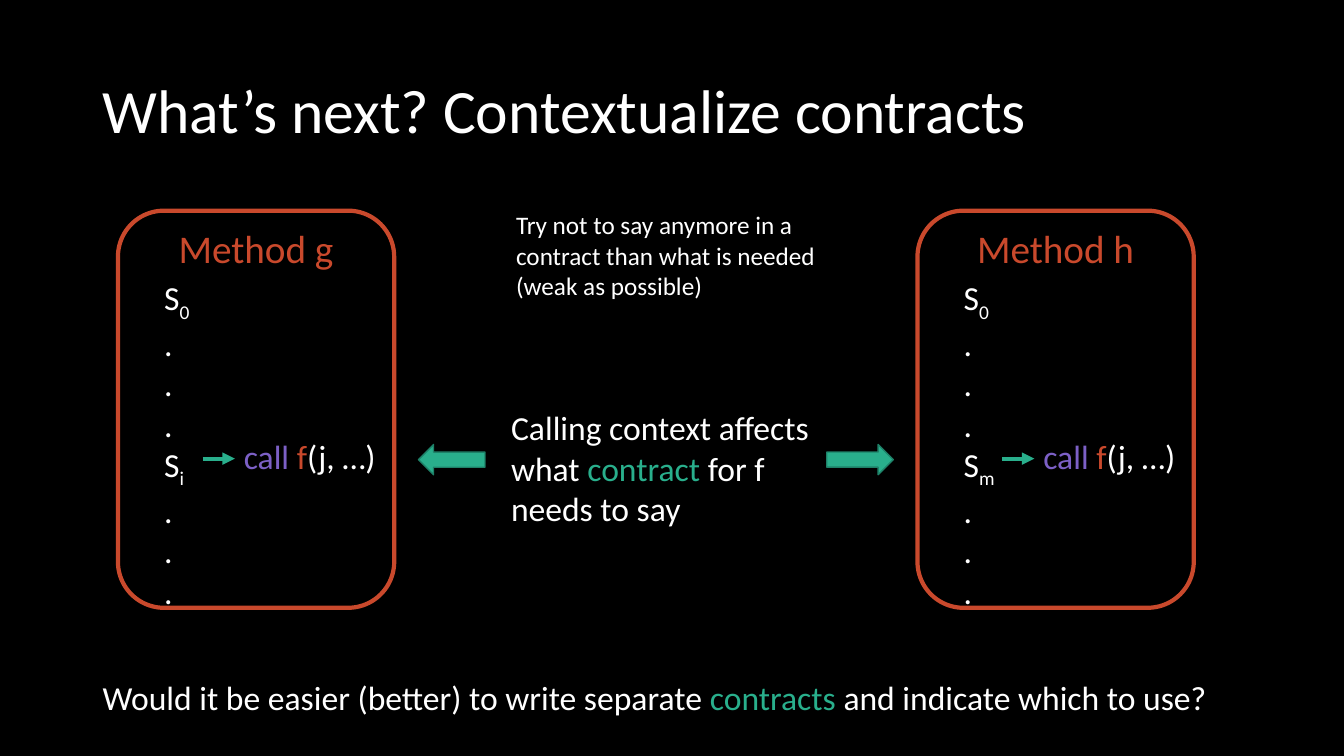
from lxml.etree import SubElement
from pptx import Presentation
from pptx.dml.color import RGBColor
from pptx.enum.shapes import MSO_CONNECTOR as Link, MSO_SHAPE as Shape
from pptx.enum.text import MSO_ANCHOR as Anchor, PP_ALIGN as Align
from pptx.oxml.ns import qn
from pptx.util import Inches, Pt

BLACK = RGBColor(0x00, 0x00, 0x00)
WHITE = RGBColor(0xFF, 0xFF, 0xFF)
RED = RGBColor(0xC9, 0x49, 0x2C)
GREEN = RGBColor(0x29, 0xAF, 0x8C)
DARK = RGBColor(0x1E, 0x81, 0x68)
PURPLE = RGBColor(0x7C, 0x60, 0xC6)
FONT = "Calibri"


def style(para, size, color=WHITE):
    para.font.name = FONT
    para.font.size = Pt(size)
    para.font.color.rgb = color


def add_text(slide, box, parts, size=24):
    frame = slide.shapes.add_textbox(*map(Inches, box)).text_frame
    frame.word_wrap = True
    para = frame.paragraphs[0]
    style(para, size)
    for text, color in parts:
        run = para.add_run()
        run.text = text
        run.font.color.rgb = color
    return frame


def add_steps(slide, left, index):
    box = map(Inches, (left, 2.7, 0.63, 3.33))
    frame = slide.shapes.add_textbox(*box).text_frame
    frame.word_wrap = True
    for i, sub in enumerate(["0", "", "", "", index, "", "", ""]):
        para = frame.add_paragraph() if i else frame.paragraphs[0]
        style(para, 24)
        para.add_run().text = "S" if sub else "."
        if sub:
            run = para.add_run()
            run.text = sub
            run.font._element.set("baseline", "-25000")


def add_arrow(slide, left, top, width):
    ends = map(Inches, (left, top, left + width, top))
    arrow = slide.shapes.add_connector(Link.STRAIGHT, *ends)
    arrow.line.color.rgb = GREEN
    arrow.line.width = Pt(3)
    SubElement(arrow.line._get_or_add_ln(), qn("a:tailEnd"), type="triangle")
    SubElement(arrow._element.spPr, qn("a:effectLst"))


def add_method(slide, left, name, index):
    box = map(Inches, (left, 2.09, 2.74, 3.94))
    frame = slide.shapes.add_shape(Shape.ROUNDED_RECTANGLE, *box)
    frame.shadow.inherit = False
    frame.fill.background()
    frame.line.color.rgb = RED
    frame.line.width = Pt(3)
    label = frame.text_frame
    label.vertical_anchor = Anchor.TOP
    label.margin_top = 0
    label.text = name
    para = label.paragraphs[0]
    para.alignment = Align.CENTER
    style(para, 28, RED)
    add_steps(slide, left + 0.36, index)
    add_arrow(slide, left + 0.84, 4.55, 0.32)
    call = [("call ", PURPLE), ("f", RED), ("(j, …)", WHITE)]
    add_text(slide, (left + 1.15, 4.28, 1.54, 0.5), call)


def add_block(slide, left, turn):
    box = map(Inches, (left, 4.41, 0.66, 0.3))
    block = slide.shapes.add_shape(Shape.RIGHT_ARROW, *box)
    block.rotation = turn
    block.shadow.inherit = False
    block.fill.solid()
    block.fill.fore_color.rgb = GREEN
    block.line.color.rgb = DARK
    block.line.width = Pt(1)


def main():
    deck = Presentation()
    deck.slide_width = Inches(13.33)
    deck.slide_height = Inches(7.5)
    slide = deck.slides.add_slide(deck.slide_layouts[6])
    slide.background.fill.solid()
    slide.background.fill.fore_color.rgb = BLACK

    title = add_text(slide, (0.92, 0.4, 11.5, 1.45),
                     [("What’s next? Contextualize contracts", WHITE)], 44)
    title.vertical_anchor = Anchor.MIDDLE
    title.paragraphs[0].line_spacing = 0.9

    add_method(slide, 1.17, "Method g", "i")
    add_method(slide, 9.1, "Method h", "m")
    add_text(slide, (4.97, 3.99, 3.38, 1.31),
             [("Calling context affects what ", WHITE), ("contract", GREEN),
              (" for f needs to say", WHITE)])
    add_block(slide, 8.2, 0)
    add_block(slide, 4.15, 180)
    add_text(slide, (0.92, 6.67, 11.5, 0.5),
             [("Would it be easier (better) to write separate ", WHITE),
              ("contracts", GREEN), (" and indicate which to use?", WHITE)])
    add_text(slide, (5.02, 2.03, 3.3, 1.01),
             [("Try not to say anymore in a contract than what is needed "
               "(weak as possible)", WHITE)], 18)
    deck.save("out.pptx")


if __name__ == "__main__":
    main()
